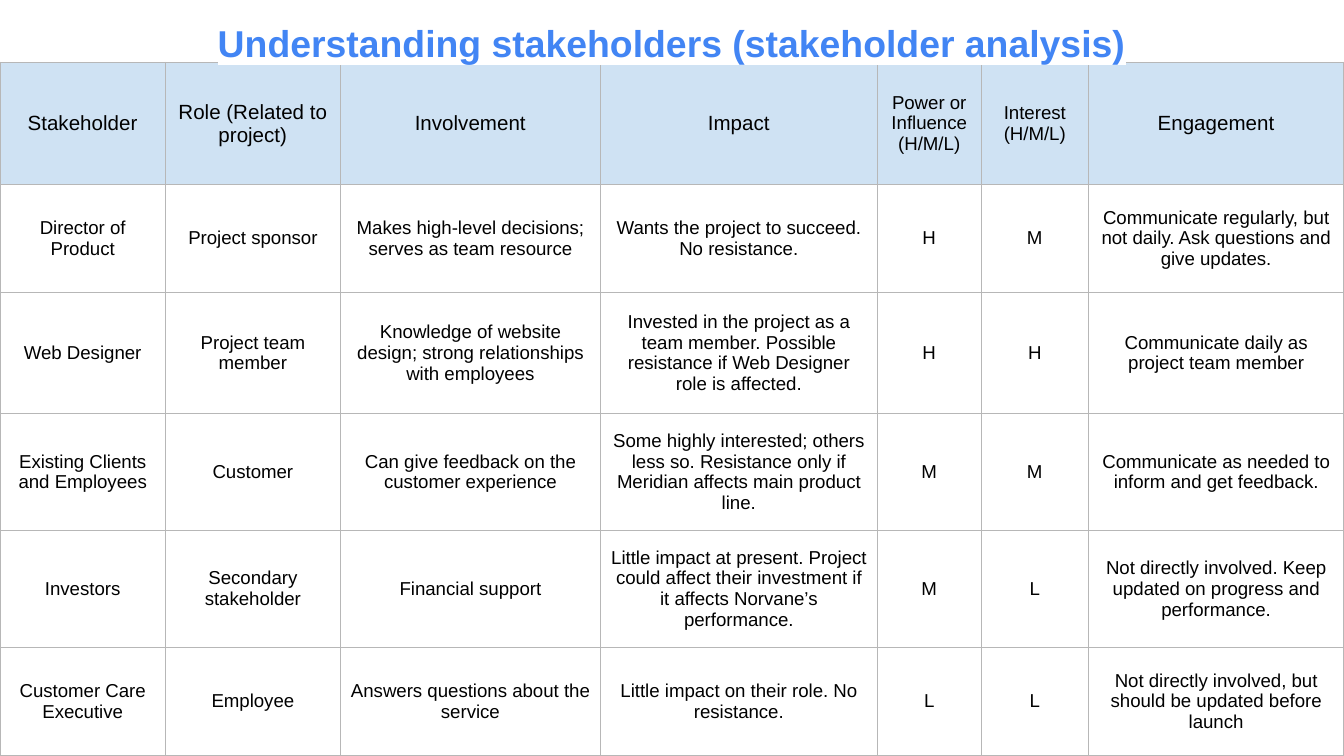
from lxml import etree
from pptx import Presentation
from pptx import util as u
from pptx.dml.color import RGBColor
from pptx.enum import text
from pptx.oxml import ns

# Percentages of the slide's width and height
COLUMNS = [12.3, 13.03, 19.34, 20.61, 7.73, 7.98, 19.01]
HEADER, SHORT, MIDDLE, TALL = 16.14, 14.29, 15.48, 16
ROWS = [HEADER, SHORT, TALL, MIDDLE, MIDDLE, SHORT]
TABLE_TOP = 8.27
TITLE_HEIGHT = 9.6

TITLE = "Understanding stakeholders (stakeholder analysis)"
STAKEHOLDERS = [
    ["Stakeholder", "Role (Related to project)", "Involvement", "Impact",
     "Power or Influence (H/M/L)", "Interest (H/M/L)", "Engagement"],
    ["Director of Product", "Project sponsor",
     "Makes high-level decisions; serves as team resource",
     "Wants the project to succeed. No resistance.", "H", "M",
     "Communicate regularly, but not daily. Ask questions and give updates."],
    ["Web Designer", "Project team member",
     "Knowledge of website design; strong relationships with employees",
     "Invested in the project as a team member. Possible resistance if "
     "Web Designer role is affected.", "H", "H",
     "Communicate daily as project team member"],
    ["Existing Clients and Employees", "Customer",
     "Can give feedback on the customer experience",
     "Some highly interested; others less so. Resistance only if "
     "Meridian affects main product line.", "M", "M",
     "Communicate as needed to inform and get feedback."],
    ["Investors", "Secondary stakeholder", "Financial support",
     "Little impact at present. Project could affect their investment if "
     "it affects Norvane’s performance.", "M", "L",
     "Not directly involved. Keep updated on progress and performance."],
    ["Customer Care Executive", "Employee",
     "Answers questions about the service",
     "Little impact on their role. No resistance.", "L", "L",
     "Not directly involved, but should be updated before launch"],
]


def color(hex_code):
    return RGBColor.from_string(hex_code)


def write(frame, content, size=10, ink="000000", bold=False, spacing=1.0):
    """Put one centred paragraph in a text frame and return its run."""
    paragraph = frame.paragraphs[0]
    paragraph.alignment = text.PP_ALIGN.CENTER
    paragraph.line_spacing = spacing
    run = paragraph.add_run()
    run.text = content
    run.font.size = u.Pt(size)
    run.font.bold = bold
    run.font.color.rgb = color(ink)
    run.font.name = "Arial"
    return run


class SlideBuilder:
    accent, header_fill, border, paper = "4285F4", "CFE2F3", "B7B7B7", "FFFFFF"

    def __init__(self, presentation):
        self.width = presentation.slide_width
        self.height = presentation.slide_height
        self.slide = presentation.slides.add_slide(presentation.slide_layouts[5])

    def across(self, percent):
        return round(self.width * percent / 100)

    def down(self, percent):
        return round(self.height * percent / 100)

    def outline(self, cell):
        properties = cell._tc.get_or_add_tcPr()
        for position, side in enumerate(("lnL", "lnR", "lnT", "lnB")):
            line = etree.Element(ns.qn(f"a:{side}"), w=str(u.Pt(0.75)))
            fill = etree.SubElement(line, ns.qn("a:solidFill"))
            etree.SubElement(fill, ns.qn("a:srgbClr"), val=self.border)
            properties.insert(position, line)

    def cell(self, cell, content, size, fill=None):
        cell.vertical_anchor = text.MSO_ANCHOR.MIDDLE
        cell.margin_left = cell.margin_right = u.Pt(5.4)
        cell.margin_top = cell.margin_bottom = u.Pt(3.6)
        if fill:
            cell.fill.solid()
            cell.fill.fore_color.rgb = color(fill)
        else:
            cell.fill.background()
        self.outline(cell)
        write(cell.text_frame, content, size=size)

    def table(self, rows, top, widths, heights):
        table = self.slide.shapes.add_table(
            len(rows), len(widths), 0, self.down(top),
            self.across(sum(widths)), self.down(sum(heights))).table
        table.first_row = table.horz_banding = False
        for column, width in zip(table.columns, widths):
            column.width = self.across(width)
        for row, height in zip(table.rows, heights):
            row.height = self.down(height)
        for r, row in enumerate(rows):
            for c, content in enumerate(row):
                # The two rating columns keep the body size in the header
                size = 11 if r == 0 and c not in (4, 5) else 10
                self.cell(table.cell(r, c), content, size,
                          self.header_fill if r == 0 else None)

    def title(self, content, height):
        shape = self.slide.shapes.title
        shape.left, shape.top = 0, 0
        shape.width, shape.height = self.width, self.down(height)
        frame = shape.text_frame
        frame.word_wrap = True
        frame.auto_size = text.MSO_AUTO_SIZE.SHAPE_TO_FIT_TEXT
        frame.vertical_anchor = text.MSO_ANCHOR.TOP
        frame.margin_left = frame.margin_right = u.Inches(0.1)
        frame.margin_top = frame.margin_bottom = u.Inches(0.1)
        run = write(frame, content, size=20, ink=self.accent, bold=True, spacing=1.15)
        # White highlight sits over the table's top edge
        highlight = etree.Element(ns.qn("a:highlight"))
        etree.SubElement(highlight, ns.qn("a:srgbClr"), val=self.paper)
        run.font._element.find(ns.qn("a:solidFill")).addnext(highlight)
        self.slide.shapes._spTree.append(shape._element)


# Widescreen slide, 16 by 9
presentation = Presentation()
presentation.slide_width = u.Inches(10)
presentation.slide_height = u.Inches(10 * 9 / 16)
builder = SlideBuilder(presentation)

# Stakeholder table, then the title in front of it
builder.table(STAKEHOLDERS, TABLE_TOP, COLUMNS, ROWS)
builder.title(TITLE, TITLE_HEIGHT)

presentation.save("out.pptx")
